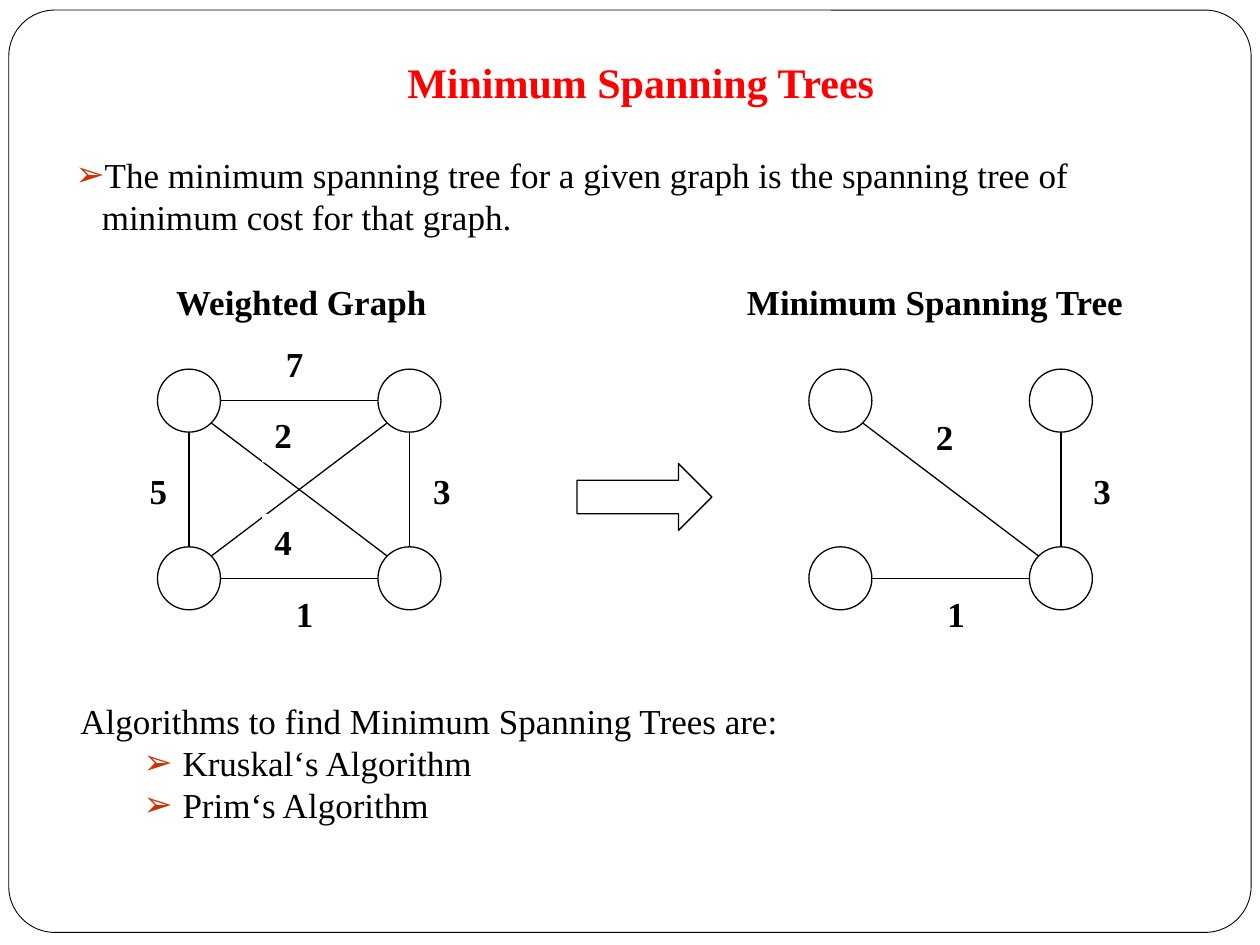
from math import atan2, copysign, pi, sqrt

from lxml import etree
from pptx import Presentation
from pptx.dml.color import RGBColor
from pptx.enum.shapes import MSO_CONNECTOR, MSO_SHAPE
from pptx.enum.text import MSO_ANCHOR, PP_ALIGN
from pptx.oxml.ns import qn
from pptx.util import Inches, Pt

FONT = "Times New Roman"
BLACK, WHITE, RED, BULLET = "000000", "FFFFFF", "FF0000", "CC3300"

TITLE = "Minimum Spanning Trees"
DEFINITION = [
    {"text": "The minimum spanning tree for a given graph is the spanning tree of", "bullet": True},
    {"text": "minimum cost for that graph.", "margin": 0.21},
]
ALGORITHMS = [
    {"text": "Algorithms to find Minimum Spanning Trees are:"},
    {"text": "Kruskal‘s Algorithm", "bullet": True, "margin": 0.81, "indent": -0.31},
    {"text": "Prim‘s Algorithm", "bullet": True, "margin": 0.81, "indent": -0.31},
]

NODE_SIZE = 0.5
NODES = {"a": (0, 0), "b": (1.75, 0), "c": (0, 1.41), "d": (1.75, 1.41)}
LABEL_SIZE = (0.34, 0.44)
GRAPHS = [
    {
        "heading": ("Weighted Graph", (1.3, 2.18, 2.2, 0.44)),
        "origin": (1.25, 2.93),
        "edges": ["ab", "ac", "cd", "bd", "bc", "ad"],
        "weights": [("5", 1.09, 3.68), ("7", 2.17, 2.67), ("2", 2.08, 3.23),
                    ("1", 2.25, 4.65), ("3", 3.34, 3.68), ("4", 2.08, 4.08)],
    },
    {
        "heading": ("Minimum Spanning Tree", (5.83, 2.18, 3.21, 0.44)),
        "origin": (6.42, 2.93),
        "edges": ["cd", "bd", "ad"],
        "weights": [("2", 7.33, 3.25), ("1", 7.42, 4.65), ("3", 8.58, 3.68)],
    },
]

presentation = Presentation()
presentation.slide_width, presentation.slide_height = Inches(10), Inches(7.5)
slide = presentation.slides.add_slide(presentation.slide_layouts[6])


def color(value):
    return RGBColor.from_string(value)


def add_shape(kind, box, fill=WHITE, line=BLACK, width=0.75):
    shape = slide.shapes.add_shape(kind, *map(Inches, box))
    shape.shadow.inherit = False
    if fill:
        shape.fill.solid()
        shape.fill.fore_color.rgb = color(fill)
    else:
        shape.fill.background()
    if line:
        shape.line.color.rgb = color(line)
        shape.line.width = Pt(width)
    else:
        shape.line.fill.background()
    return shape


def add_bullet(properties):
    bullet_color = etree.SubElement(properties, qn("a:buClr"))
    etree.SubElement(bullet_color, qn("a:srgbClr"), val=BULLET)
    etree.SubElement(properties, qn("a:buFont"), typeface="Arial")
    etree.SubElement(properties, qn("a:buChar"), char="➢")


def write(shape, paragraphs, size=20, bold=False, fill=BLACK, align=PP_ALIGN.LEFT, wrap=True):
    frame = shape.text_frame
    frame.word_wrap = wrap
    frame.vertical_anchor = MSO_ANCHOR.TOP
    for index, item in enumerate(paragraphs):
        paragraph = frame.add_paragraph() if index else frame.paragraphs[0]
        paragraph.alignment = align
        properties = paragraph._p.get_or_add_pPr()
        properties.set("marL", str(Inches(item.get("margin", 0))))
        properties.set("indent", str(Inches(item.get("indent", 0))))
        if item.get("bullet"):
            add_bullet(properties)
        run = paragraph.add_run()
        run.text = item["text"]
        run.font.name, run.font.size, run.font.bold = FONT, Pt(size), bold
        run.font.color.rgb = color(fill)


def add_text(box, paragraphs, **text_format):
    write(slide.shapes.add_textbox(*map(Inches, box)), paragraphs, **text_format)


def add_edge(start, end):
    dx, dy = end[0] - start[0], end[1] - start[1]
    diagonal = abs(atan2(dy, dx)) % (pi / 2) > 0.01
    reach = NODE_SIZE / 2 / (sqrt(2) if diagonal else 1)
    step_x = copysign(reach, dx) if dx else 0
    step_y = copysign(reach, dy) if dy else 0
    points = (start[0] + step_x, start[1] + step_y, end[0] - step_x, end[1] - step_y)
    connector = slide.shapes.add_connector(MSO_CONNECTOR.STRAIGHT, *map(Inches, points))
    connector.line.color.rgb = color(BLACK)
    connector.line.width = Pt(0.75)
    etree.SubElement(connector._element.spPr, qn("a:effectLst"))


def add_graph(graph):
    left, top = graph["origin"]
    centers = {}
    for name, (x, y) in NODES.items():
        add_shape(MSO_SHAPE.OVAL, (left + x, top + y, NODE_SIZE, NODE_SIZE))
        centers[name] = (left + x + NODE_SIZE / 2, top + y + NODE_SIZE / 2)
    for start, end in graph["edges"]:
        add_edge(centers[start], centers[end])
    for text, x, y in graph["weights"]:
        label = add_shape(MSO_SHAPE.RECTANGLE, (x, y, *LABEL_SIZE), line=None)
        write(label, [{"text": text}], bold=True, wrap=False)
    heading, box = graph["heading"]
    add_text(box, [{"text": heading}], bold=True, wrap=False)


border = add_shape(MSO_SHAPE.ROUNDED_RECTANGLE, (0.07, 0.08, 9.86, 7.32), fill=None, width=0.5)
border.adjustments[0] = 0.05
add_text((2.17, 0.4, 5.83, 0.5), [{"text": TITLE}], size=24, bold=True, fill=RED, align=PP_ALIGN.CENTER)
add_text((0.5, 1.17, 9.03, 0.77), DEFINITION)
for graph in GRAPHS:
    add_graph(graph)
add_shape(MSO_SHAPE.RIGHT_ARROW, (4.58, 3.68, 1.07, 0.53))
add_text((0.54, 5.5, 5.79, 1.1), ALGORITHMS)

presentation.save("out.pptx")
